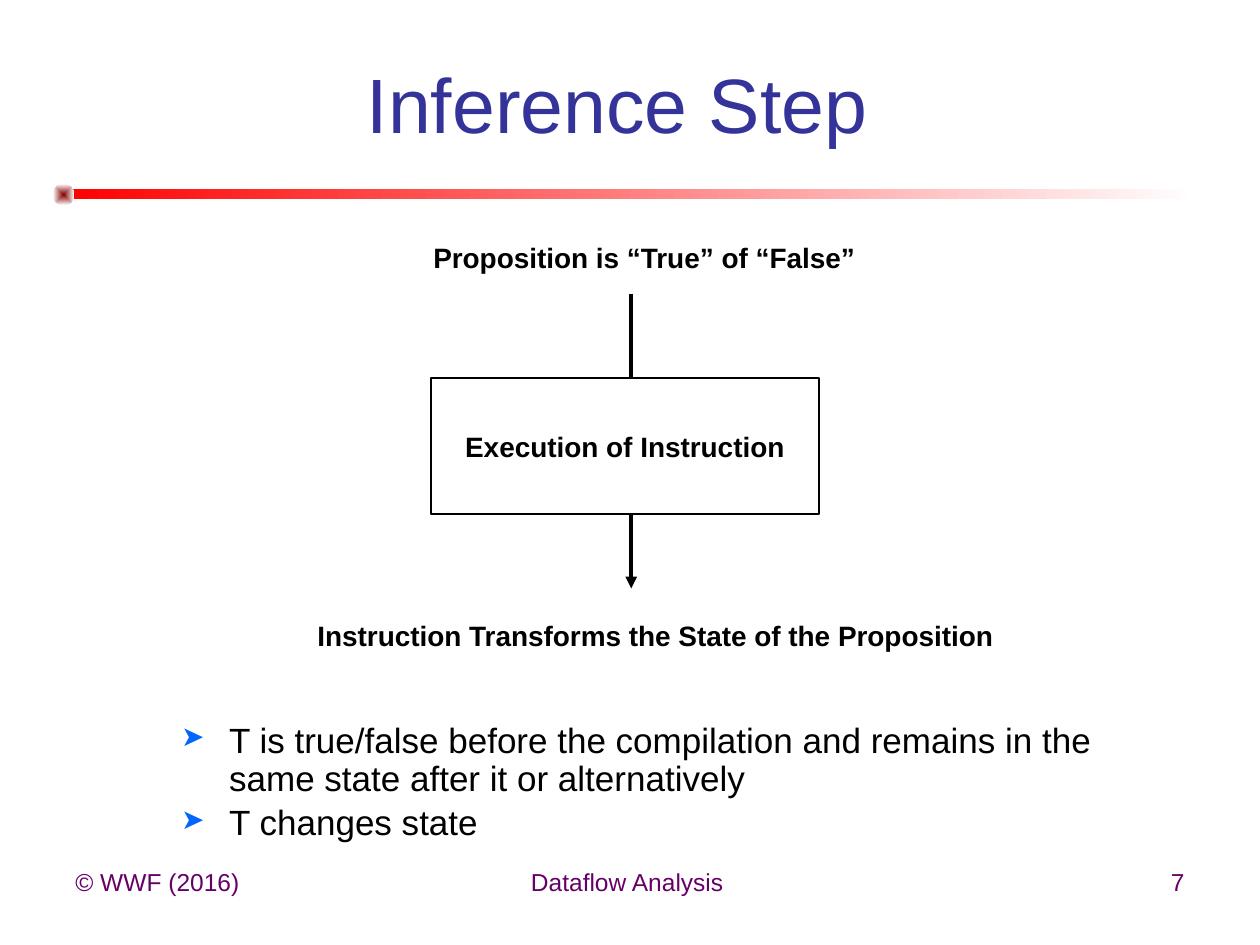
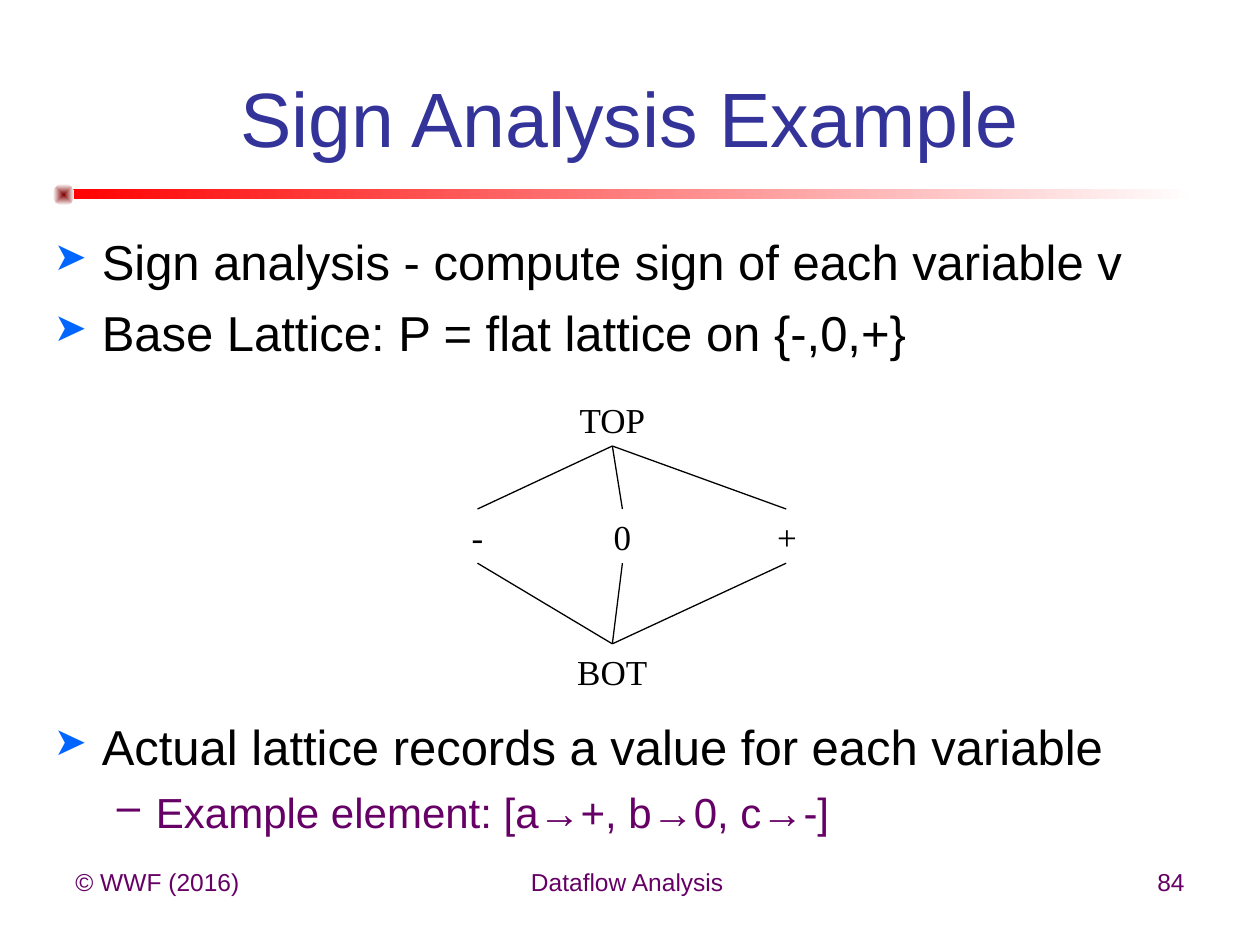
from lxml import etree
from pptx import Presentation
from pptx import util as u
from pptx.dml.color import RGBColor
from pptx.enum import shapes, text
from pptx.oxml import ns

COLORS = {
    "title": "333399", "body": "000000", "accent": "660066", "bullet": "0066FF",
    "band": "FF0000", "dot": "800000", "paper": "FFFFFF", "line": "000000",
}
SANS, SERIF = "Arial", "Times New Roman"
LEFT, CENTER, RIGHT = text.PP_ALIGN.LEFT, text.PP_ALIGN.CENTER, text.PP_ALIGN.RIGHT


def rgb(name):
    return RGBColor.from_string(COLORS[name])


def sub(parent, tag, **attributes):
    return etree.SubElement(parent, ns.qn(tag), attributes)


def add_run(paragraph, words, size, color="body", font=SANS, bold=False):
    run = paragraph.add_run()
    run.text = words
    run.font.size, run.font.name, run.font.bold = u.Pt(size), font, bold
    run.font.color.rgb = rgb(color)


def add_text(slide, box, words, size, align=LEFT, middle=False, wrap=True, **style):
    """One-paragraph text box."""
    holder = slide.shapes.add_textbox(*map(u.Inches, box))
    frame = holder.text_frame
    frame.word_wrap = wrap
    if middle:
        frame.vertical_anchor = text.MSO_ANCHOR.MIDDLE
    frame.paragraphs[0].alignment = align
    add_run(frame.paragraphs[0], words, size, **style)
    return holder


def add_bullets(slide, box, items, line_spacing=1.0):
    """Items are (level, words, size, space before in points)."""
    frame = slide.shapes.add_textbox(*map(u.Inches, box)).text_frame
    frame.word_wrap = True
    for index, (level, words, size, space) in enumerate(items):
        paragraph = frame.add_paragraph() if index else frame.paragraphs[0]
        paragraph.level = level
        paragraph.line_spacing = line_spacing
        paragraph.space_before = u.Pt(space)
        margin, hang, mark = [(0.38, 0.38, "➤"), (0.81, 0.31, "–")][level]
        props = paragraph._p.get_or_add_pPr()
        props.set("marL", str(u.Inches(margin)))
        props.set("indent", str(-u.Inches(hang)))
        if level == 0:
            sub(sub(props, "a:buClr"), "a:srgbClr", val=COLORS["bullet"])
            sub(props, "a:buSzPct", val="80000")
        sub(props, "a:buChar", char=mark)
        add_run(paragraph, words, size, "accent" if level else "body")


def add_line(slide, start=(0, 0), end=(0, 0), width=0.75, arrow=False):
    line = slide.shapes.add_connector(
        shapes.MSO_CONNECTOR.STRAIGHT, *map(u.Inches, (*start, *end)))
    line.line.width = u.Pt(width)
    line.line.color.rgb = rgb("line")
    if arrow:
        sub(line.line._get_or_add_ln(), "a:tailEnd", type="triangle")
    sub(line._element.spPr, "a:effectLst")
    return line


def add_shape(slide, kind, box):
    shape = slide.shapes.add_shape(kind, *map(u.Inches, box))
    shape.shadow.inherit = False
    return shape


def add_gradient(slide, kind, box, color, from_center=False):
    """Borderless shape that fades from a colour to the paper."""
    shape = add_shape(slide, kind, box)
    shape.line.fill.background()
    shape.fill.gradient()
    shape.fill.gradient_angle = 0
    for stop, name in zip(shape.fill.gradient_stops, (color, "paper")):
        stop.color.rgb = rgb(name)
    if from_center:
        gradient = shape._element.spPr.find(ns.qn("a:gradFill"))
        gradient.remove(gradient.find(ns.qn("a:lin")))
        sub(sub(gradient, "a:path", path="shape"), "a:fillToRect",
            l="50000", t="50000", r="50000", b="50000")


def new_slide(deck, title, title_box, number):
    """Slide with the shared band, footer and title."""
    slide = deck.slides.add_slide(deck.slide_layouts[6])
    preset = shapes.MSO_SHAPE
    add_gradient(slide, preset.RECTANGLE, (0.5, 1.5, 9, 0.08), "band")
    add_gradient(slide, preset.OVAL, (0.42, 1.46, 0.17, 0.17), "dot", from_center=True)
    for left, width, words, align in (
            (0.5, 2.33, "© WWF (2016)", LEFT),
            (3.42, 3.17, "Dataflow Analysis ", CENTER),
            (7.17, 2.33, str(number), RIGHT)):
        add_text(slide, (left, 6.83, width, 0.52), words, 14, align, color="accent")
    add_text(slide, title_box, title, 44, CENTER, middle=True, color="title")
    return slide


def inference_slide(deck):
    slide = new_slide(deck, "Inference Step", (0.83, 0.55, 8.14, 0.53), 7)
    add_bullets(slide, (1.34, 5.69, 8.17, 1.34), [
        (0, "T is true/false before the compilation and remains in the same state "
            "after it or alternatively", 20, 0),
        (0, "T changes state", 20, 4),
    ], line_spacing=0.9)

    # The flow arrow runs behind the instruction box
    add_line(slide, (5.01, 2.33), (5.01, 4.67), width=2.25, arrow=True)
    instruction = add_shape(slide, shapes.MSO_SHAPE.RECTANGLE, (3.42, 3, 3.08, 1.08))
    instruction.fill.solid()
    instruction.fill.fore_color.rgb = rgb("paper")
    instruction.line.color.rgb = rgb("line")
    instruction.line.width = u.Pt(0.75)
    frame = instruction.text_frame
    frame.word_wrap = False
    frame.vertical_anchor = text.MSO_ANCHOR.MIDDLE
    frame.paragraphs[0].alignment = CENTER
    add_run(frame.paragraphs[0], "Execution of Instruction", 16, bold=True)

    # States before and after
    add_text(slide, (2.42, 4.86, 6.08, 0.37),
             "Instruction Transforms the State of the Proposition", 16, bold=True)
    add_text(slide, (3.34, 1.86, 4.75, 0.37),
             "Proposition is “True” of “False”", 16, bold=True)


def sign_slide(deck):
    slide = new_slide(deck, "Sign Analysis Example", (0.5, 0.3, 9, 1.25), 84)
    add_bullets(slide, (0.33, 1.79, 9.67, 4.95), [
        (0, "Sign analysis - compute sign of each variable v", 28, 0),
        (0, "Base Lattice: P = flat lattice on {-,0,+}", 28, 7),
        (0, "Actual lattice records a value for each variable", 28, 203),
        (1, "Example element: [a→+, b→0, c→-]", 24, 6),
    ])

    # Lattice nodes, each joined to the top and the bottom
    def node(words, center, top, width):
        return add_text(slide, (center - width / 2, top, width, 0.43), words, 20,
                        CENTER, wrap=False, font=SERIF)

    top = node("TOP", 4.86, 3.11, 0.74)
    bottom = node("BOT", 4.86, 5.11, 0.76)
    for sign, center in (("-", 3.79), ("0", 4.94), ("+", 6.24)):
        value = node(sign, center, 4.04, 0.34)
        for upper, lower in ((top, value), (value, bottom)):
            edge = add_line(slide)
            edge.begin_connect(upper, 2)
            edge.end_connect(lower, 0)


def main():
    deck = Presentation()
    deck.slide_width, deck.slide_height = u.Inches(10), u.Inches(7.5)
    inference_slide(deck)
    sign_slide(deck)
    deck.save("out.pptx")


if __name__ == "__main__":
    main()
